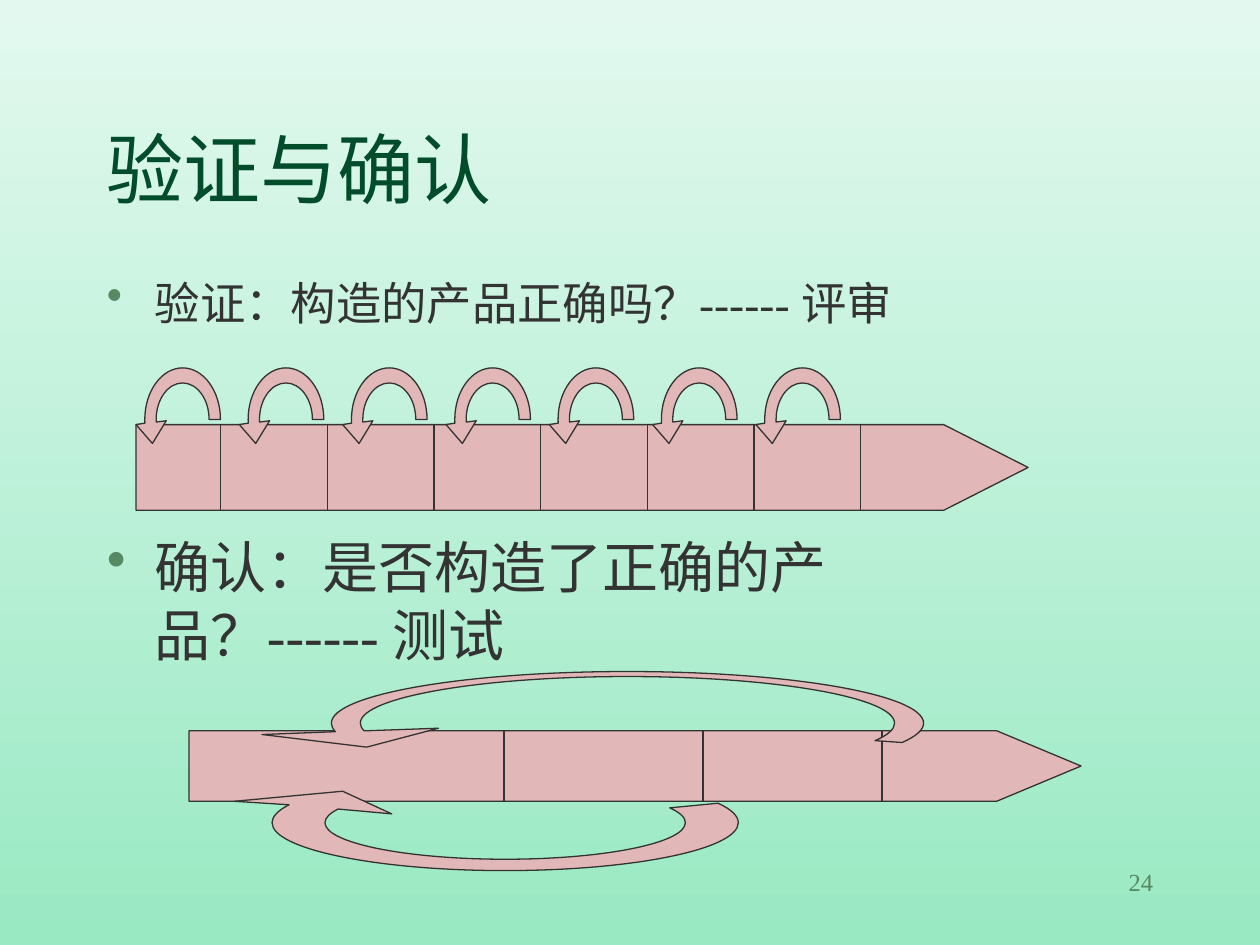
from math import cos, radians, sin, tan

from lxml.etree import SubElement
from pptx import Presentation
from pptx.dml.color import RGBColor
from pptx.enum.shapes import MSO_CONNECTOR, MSO_SHAPE
from pptx.enum.text import MSO_ANCHOR, PP_ALIGN
from pptx.oxml.ns import qn
from pptx.util import Inches, Pt

FONT = "Times New Roman"
PINK = "E1B7B7"
INK = "333333"
GREEN = "578963"
TITLE_GREEN = "004C2B"
TIP_LENGTH = 0.67


def color(hex_string):
    return RGBColor.from_string(hex_string)


def set_background(slide, top, bottom):
    fill = slide.background.fill
    fill.gradient()
    fill.gradient_angle = 270
    for stop, position, shade in zip(fill.gradient_stops, (0, 1), (top, bottom)):
        stop.position = position
        stop.color.rgb = color(shade)


def add_text(slide, box, text, size, shade, align=PP_ALIGN.LEFT, anchor=MSO_ANCHOR.TOP):
    frame = slide.shapes.add_textbox(*map(Inches, box)).text_frame
    frame.word_wrap = True
    frame.vertical_anchor = anchor
    paragraph = frame.paragraphs[0]
    paragraph.text = text
    paragraph.alignment = align
    paragraph.font.name = FONT
    paragraph.font.size = Pt(size)
    paragraph.font.color.rgb = color(shade)
    return paragraph


def add_bullet(slide, box, text, size, space_before, line_spacing=1.0):
    paragraph = add_text(slide, box, text, size, INK)
    paragraph.space_before = Pt(space_before)
    paragraph.line_spacing = line_spacing
    properties = paragraph._p.get_or_add_pPr()
    properties.set("marL", str(Inches(0.38)))
    properties.set("indent", str(Inches(-0.38)))
    bullet_color = SubElement(properties, qn("a:buClr"))
    SubElement(bullet_color, qn("a:srgbClr"), val=GREEN)
    bullet = SubElement(properties, qn("a:buChar"), char="•")
    font_defaults = properties.find(qn("a:defRPr"))
    font_defaults.addprevious(bullet_color)
    font_defaults.addprevious(bullet)


def style_shape(shape):
    shape.shadow.inherit = False
    shape.fill.solid()
    shape.fill.fore_color.rgb = color(PINK)
    shape.line.color.rgb = color(INK)
    shape.line.width = Pt(0.75)


def add_process_bar(slide, left, top, width, height, dividers):
    bar = slide.shapes.add_shape(
        MSO_SHAPE.PENTAGON, Inches(left), Inches(top), Inches(width), Inches(height)
    )
    bar.adjustments[0] = TIP_LENGTH / height
    style_shape(bar)
    for x in dividers:
        divider = slide.shapes.add_connector(
            MSO_CONNECTOR.STRAIGHT, Inches(x), Inches(top), Inches(x), Inches(top + height)
        )
        divider.line.color.rgb = color(INK)
        divider.line.width = Pt(0.75)
        SubElement(divider._element.spPr, qn("a:effectLst"))


def arc_points(center, radii, start, end):
    def point(angle, pull=0):
        x = cos(angle) - pull * sin(angle)
        y = sin(angle) + pull * cos(angle)
        return center[0] + radii[0] * x, center[1] + radii[1] * y

    low, high = sorted((start, end))
    quarters = [angle for angle in range(-360, 450, 90) if low < angle < high]
    stops = [radians(a) for a in sorted([low, *quarters, high], reverse=start > end)]
    points = [point(stops[0])]
    for first, last in zip(stops, stops[1:]):
        pull = 4 / 3 * tan((last - first) / 4)
        points += [point(first, pull), point(last, -pull), point(last)]
    return points


def curve_segments(segments):
    for i in range(0, len(segments), 3):
        curve, *others = segments[i:i + 3]
        for segment in others:
            curve.append(segment[0])
            segment.getparent().remove(segment)
        curve.tag = qn("a:cubicBezTo")


def add_curved_arrow(slide, center, outer, inner, start, end, head):
    inner_arc = arc_points(center, inner, start, end)
    outer_arc = arc_points(center, outer, end, start)
    points = [(Inches(x), Inches(y)) for x, y in inner_arc + outer_arc + head]
    builder = slide.shapes.build_freeform(*points[0])
    builder.add_line_segments(points[1:], close=True)
    arrow = builder.convert_to_shape()
    segments = list(arrow._element.iter(qn("a:lnTo")))
    count = len(inner_arc)
    curve_segments(segments[:count - 1])
    curve_segments(segments[count:2 * count - 1])
    style_shape(arrow)


def add_verification(slide):
    add_bullet(slide, (0.75, 2.25, 8.5, 0.42), "验证：构造的产品正确吗？------ 评审", 25.9, 7, 0.7)
    step = (6.83 - 1.75) / 6
    add_process_bar(slide, 1.08, 3.37, 7.08, 0.68, [1.75 + step * i for i in range(7)])
    for i in range(7):
        left = 1.08 + 0.82 * i
        head = [(left, 3.37), (left + 0.13, 3.52), (left + 0.24, 3.34)]
        add_curved_arrow(
            slide, (left + 0.37, 3.33), (0.3, 0.41), (0.21, 0.29), 176, 360, head
        )


def add_validation(slide):
    add_process_bar(slide, 1.5, 5.8, 7.08, 0.56, [4, 5.58, 7])
    add_curved_arrow(
        slide, (4.98, 5.74), (2.35, 0.41), (2.12, 0.37), 170.5, 382,
        [(2.08, 5.83), (2.91, 5.93), (3.48, 5.78)],
    )
    add_curved_arrow(
        slide, (4.01, 6.53), (1.85, 0.38), (1.43, 0.29), 202, -24,
        [(1.86, 6.36), (2.72, 6.28), (3.11, 6.46)],
    )
    add_bullet(slide, (0.75, 4.18, 7.4, 0.52), "确认：是否构造了正确的产品？------ 测试", 32, 8)


def main():
    presentation = Presentation()
    presentation.slide_width = Inches(10)
    presentation.slide_height = Inches(7.5)
    slide = presentation.slides.add_slide(presentation.slide_layouts[6])
    set_background(slide, "E3F9EF", "99E9C3")
    add_text(slide, (7.17, 6.83, 2.08, 0.5), "24", 14, GREEN, align=PP_ALIGN.RIGHT)
    add_text(slide, (0.75, 0.5, 8.5, 1.25), "验证与确认", 44, TITLE_GREEN, anchor=MSO_ANCHOR.BOTTOM)
    add_verification(slide)
    add_validation(slide)
    presentation.save("out.pptx")


if __name__ == "__main__":
    main()
